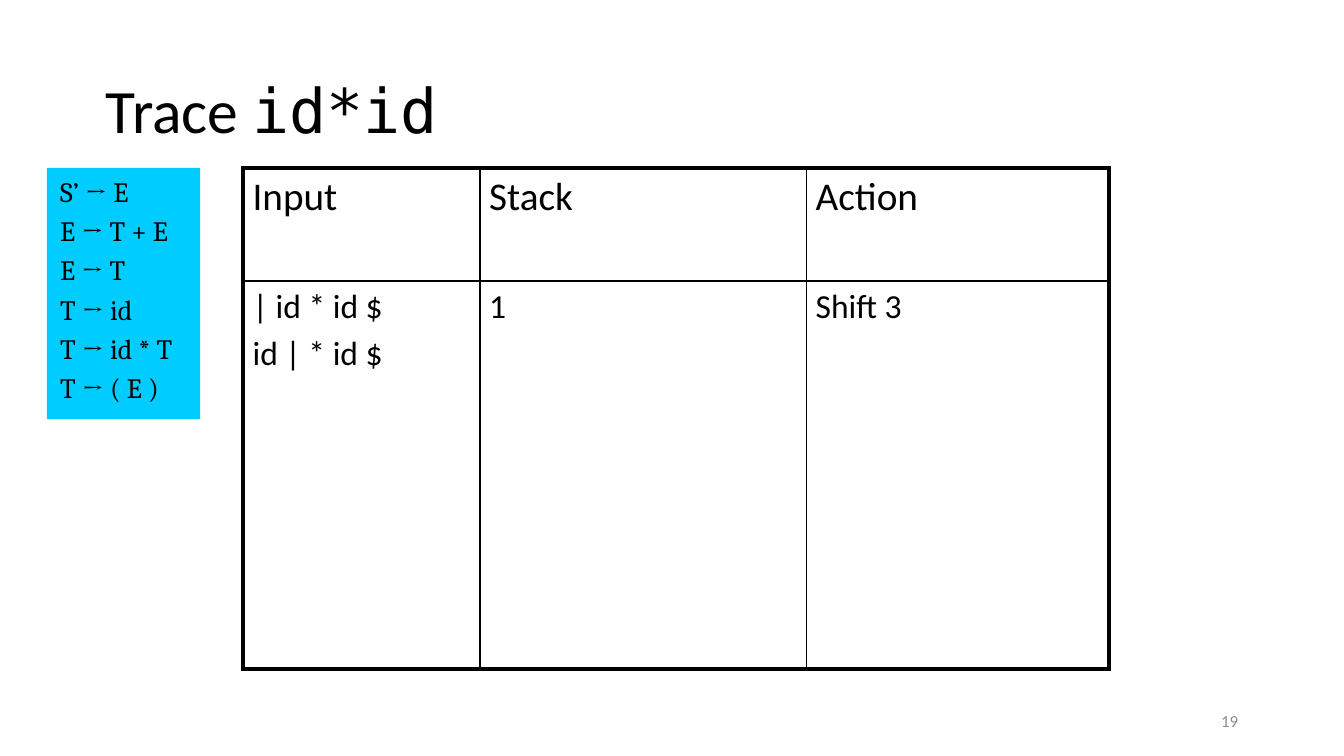
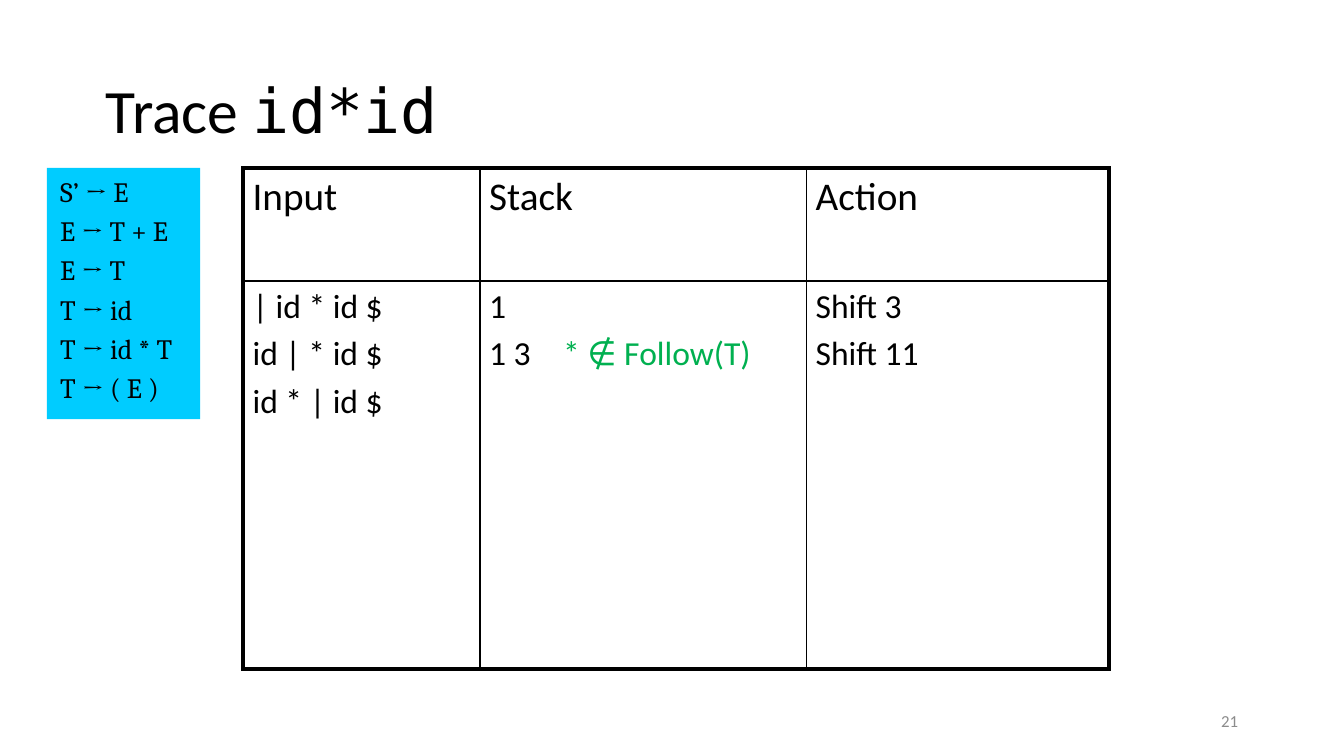
from lxml import etree
from pptx import Presentation
from pptx.dml.color import RGBColor
from pptx.enum.shapes import MSO_SHAPE as SHAPE
from pptx.enum.text import MSO_ANCHOR as ANCHOR, PP_ALIGN as ALIGN
from pptx.oxml.ns import qn
from pptx.util import Inches, Pt

BLACK = RGBColor(0x00, 0x00, 0x00)
GRAY = RGBColor(0x8C, 0x8C, 0x8C)
GREEN = RGBColor(0x00, 0xB0, 0x50)
CYAN = RGBColor(0x00, 0xCC, 0xFF)

# Text formats
TITLE = dict(name="Calibri", size=33, color=BLACK)
CODE = dict(TITLE, name="DejaVu Sans Mono")
NUMBER = dict(name="Calibri", size=9, color=GRAY)
HEAD = dict(name="Calibri", size=21, color=BLACK)
BODY = dict(HEAD, size=18)
NOTE = dict(BODY, color=GREEN)
RULE = dict(name="Cambria", size=15, color=BLACK, bold=False)
ARROW = dict(RULE, bold=True)

# Boxes shared by the slides: left, top, width, height
TITLE_BOX = (0.69, 0.3, 8.62, 1.09)
NUMBER_BOX = (7.06, 5.21, 2.25, 0.3)
TABLE_BOX = (1.81, 1.25, 6.44, 3.74)
GRAMMAR_BOX = (0.35, 1.25, 1.14, 1.87)

COL_WIDTHS = (1.76, 2.43, 2.25)
ROW_HEIGHTS = (0.84, 2.89)
HEADINGS = ("Input", "Stack", "Action")
NOTE_TAB = 0.55
THICK, THIN = 2.25, 1

GRAMMAR = ("S’ → E", "E → T + E", "E → T", "T → id", "T → id * T", "T → ( E )")

# Each line is a list of (text, format) runs
TRACES = {
    19: (
        [[("| id * id $", BODY)], [("id | * id $", BODY)]],
        [[("1", BODY)]],
        [[("Shift 3", BODY)]],
    ),
    21: (
        [[("| id * id $", BODY)], [("id | * id $", BODY)], [("id * | id $", BODY)]],
        [[("1", BODY)], [("1 3", BODY), ("\t* ∉ Follow(T)", NOTE)]],
        [[("Shift 3", BODY)], [("Shift 11", BODY)]],
    ),
}


def set_font(font, fmt):
    for key, value in fmt.items():
        if key == "color":
            font.color.rgb = value
        else:
            setattr(font, key, Pt(value) if key == "size" else value)


def add_tab_stop(p, pos):
    tabs = etree.SubElement(p._p.get_or_add_pPr(), qn("a:tabLst"))
    etree.SubElement(tabs, qn("a:tab"), pos=str(Inches(pos)), algn="l")


def write_lines(tf, lines):
    """Fill a text frame, with a fifth of the text size between lines."""
    for i, runs in enumerate(lines):
        p = tf.add_paragraph() if i else tf.paragraphs[0]
        if i:
            p.space_before = Pt(0.2 * runs[0][1]["size"])
        if any("\t" in text for text, _ in runs):
            add_tab_stop(p, NOTE_TAB)
        for text, fmt in runs:
            r = p.add_run()
            r.text = text
            set_font(r.font, fmt)


def add_label(slide, box, runs, align=ALIGN.LEFT, line_spacing=1.0):
    tf = slide.shapes.add_textbox(*map(Inches, box)).text_frame
    tf.word_wrap = True
    tf.vertical_anchor = ANCHOR.MIDDLE
    write_lines(tf, [runs])
    p = tf.paragraphs[0]
    p.alignment, p.line_spacing = align, line_spacing


def add_grammar(slide, box):
    sp = slide.shapes.add_shape(SHAPE.RECTANGLE, *map(Inches, box))
    sp.shadow.inherit = False
    sp.fill.solid()
    sp.fill.fore_color.rgb = CYAN
    sp.line.fill.background()
    tf = sp.text_frame
    tf.word_wrap = True
    tf.vertical_anchor = ANCHOR.TOP
    lines = []
    for rule in GRAMMAR:
        left, arrow, right = rule.partition(" → ")
        lines.append([(left, RULE), (arrow, ARROW), (right, RULE)])
    write_lines(tf, lines)
    for p in tf.paragraphs:
        p.alignment = ALIGN.LEFT


def set_borders(cell, widths):
    tc_pr = cell._tc.get_or_add_tcPr()
    for side, width in widths.items():
        ln = etree.SubElement(tc_pr, qn(f"a:ln{side}"), w=str(Pt(width)))
        fill = etree.SubElement(ln, qn("a:solidFill"))
        etree.SubElement(fill, qn("a:srgbClr"), val=str(BLACK))


def add_trace_table(slide, box, trace):
    rows = ([[[(text, HEAD)]] for text in HEADINGS], trace)
    n_rows, n_cols = len(rows), len(HEADINGS)
    table = slide.shapes.add_table(n_rows, n_cols, *map(Inches, box)).table
    table.first_row = table.horz_banding = False
    for col, width in zip(table.columns, COL_WIDTHS):
        col.width = Inches(width)
    for row, height in zip(table.rows, ROW_HEIGHTS):
        row.height = Inches(height)
    for i, row in enumerate(rows):
        for j, lines in enumerate(row):
            cell = table.cell(i, j)
            cell.margin_left = cell.margin_right = Inches(0.07)
            cell.margin_top = cell.margin_bottom = Inches(0.04)
            # Thick lines run round the outside only
            outer = dict(L=j == 0, R=j == n_cols - 1, T=i == 0, B=i == n_rows - 1)
            set_borders(cell, {s: THICK if o else THIN for s, o in outer.items()})
            cell.fill.background()
            write_lines(cell.text_frame, lines)


def add_trace_slide(prs, number, trace):
    slide = prs.slides.add_slide(prs.slide_layouts[6])
    add_label(slide, TITLE_BOX, [("Trace ", TITLE), ("id*id", CODE)], line_spacing=0.9)
    add_label(slide, NUMBER_BOX, [(str(number), NUMBER)], align=ALIGN.RIGHT)
    add_trace_table(slide, TABLE_BOX, trace)
    add_grammar(slide, GRAMMAR_BOX)


def main():
    prs = Presentation()
    # Widescreen, 16:9
    prs.slide_width = Inches(10)
    prs.slide_height = prs.slide_width * 9 // 16
    for number, trace in TRACES.items():
        add_trace_slide(prs, number, trace)
    prs.save("out.pptx")


if __name__ == "__main__":
    main()
